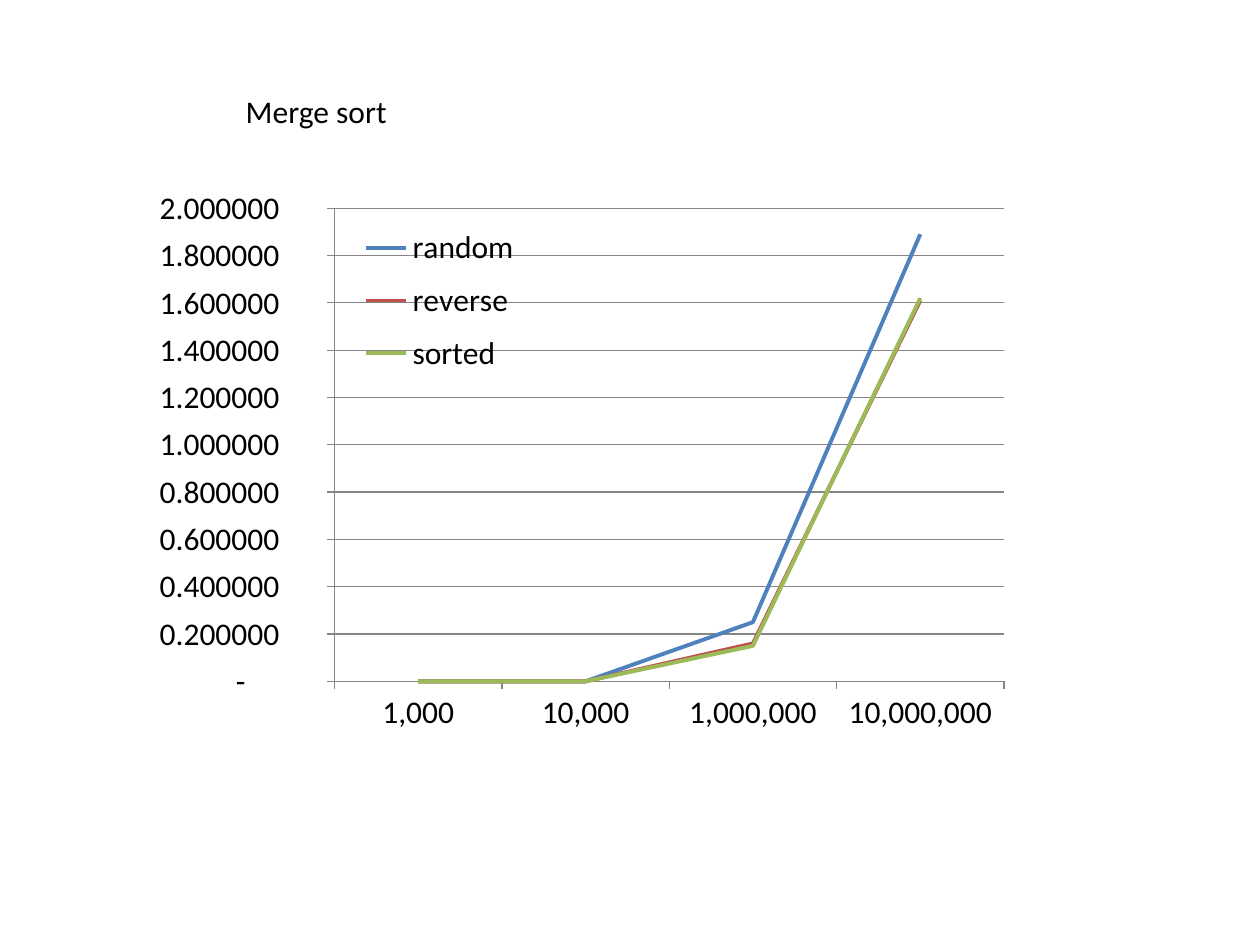
from pptx import Presentation
from pptx import util as u
from pptx.chart.data import CategoryChartData
from pptx.dml.color import RGBColor
from pptx.enum import chart as ch, text
from pptx.oxml import parse_xml
from pptx.oxml.ns import nsdecls

title = "Merge sort"
sizes = [1000, 10000, 1000000, 10000000]
runs = [
    ("random", (0, 0, 0.25, 1.89), "4F81BD"),
    ("reverse", (0, 0, 0.16, 1.61), "C0504D"),
    ("sorted", (0, 0, 0.15, 1.62), "9BBB59"),
]
unit = r"\ _l_e_i_-"
num = "* #,##0.000000" + unit
money = f'_-{num};\\-{num};_-* "-"??{unit};_-@_-'
plot_box = (0.23, 0.04, 0.7, 0.82)
key_box = (0.24, 0.05, 0.2, 0.3)
font = dict(name="Calibri", size=u.Pt(18), bold=False)


def color(code):
    return RGBColor.from_string(code)


def put(obj, vals):
    for key, val in vals.items():
        setattr(obj, key, val)


def style(obj):
    put(obj, font)
    obj.color.rgb = color("000000")


def stroke(line, code, width):
    line.color.rgb = color(code)
    line.width = u.Pt(width)


def place(parent, box, inner=False):
    for old in parent.findall("{*}layout"):
        parent.remove(old)
    tags = '<c:layoutTarget val="inner"/>' if inner else ""
    tags += "".join(f'<c:{k}Mode val="edge"/>' for k in "xy")
    tags += "".join(f'<c:{k} val="{v}"/>' for k, v in zip("xywh", box))
    node = parse_xml(
        f'<c:layout {nsdecls("c")}><c:manualLayout>{tags}</c:manualLayout></c:layout>')
    if inner:
        parent.insert(0, node)
    else:
        parent.find("{*}legendPos").addnext(node)


deck = Presentation()
put(deck, dict(slide_width=u.Inches(10), slide_height=u.Inches(7.5)))
slide = deck.slides.add_slide(deck.slide_layouts[5])

head = slide.shapes.title
put(head, dict(left=u.Inches(1.85), top=u.Inches(0.68),
               width=u.Inches(4.33), height=u.Inches(0.4)))
frame = head.text_frame
frame.text = title
put(frame, dict(word_wrap=True, vertical_anchor=text.MSO_ANCHOR.TOP,
                auto_size=text.MSO_AUTO_SIZE.NONE))
para = frame.paragraphs[0]
para.alignment = text.PP_ALIGN.LEFT
style(para.runs[0].font)

data = CategoryChartData(number_format=money)
data.categories = sizes
data.categories.number_format = "#,##0"
for name, vals, _ in runs:
    data.add_series(name, vals)
chart = slide.shapes.add_chart(
    ch.XL_CHART_TYPE.LINE, u.Inches(0.91), u.Inches(1.47),
    u.Inches(7.59), u.Inches(4.58), data).chart
put(chart, dict(has_title=False, has_legend=True))
style(chart.font)
chart.plots[0].vary_by_categories = False
for line, (_, _, code) in zip(chart.plots[0].series, runs):
    line.smooth = False
    line.marker.style = ch.XL_MARKER_STYLE.NONE
    stroke(line.format.line, code, 2.25)

cat, val = chart.category_axis, chart.value_axis
for axis, code in ((cat, "#,##0"), (val, money)):
    put(axis, dict(major_tick_mark=ch.XL_TICK_MARK.OUTSIDE,
                   minor_tick_mark=ch.XL_TICK_MARK.NONE))
    put(axis.tick_labels, dict(number_format=code, number_format_is_linked=False))
    stroke(axis.format.line, "868686", 0.75)
put(val, dict(minimum_scale=0, maximum_scale=2, major_unit=0.2,
              has_major_gridlines=True))
stroke(val.major_gridlines.format.line, "868686", 0.75)

key = chart.legend
put(key, dict(position=ch.XL_LEGEND_POSITION.RIGHT, include_in_layout=True))
style(key.font)
place(cat._element.getparent(), plot_box, True)
place(key._element, key_box)

deck.save("out.pptx")
